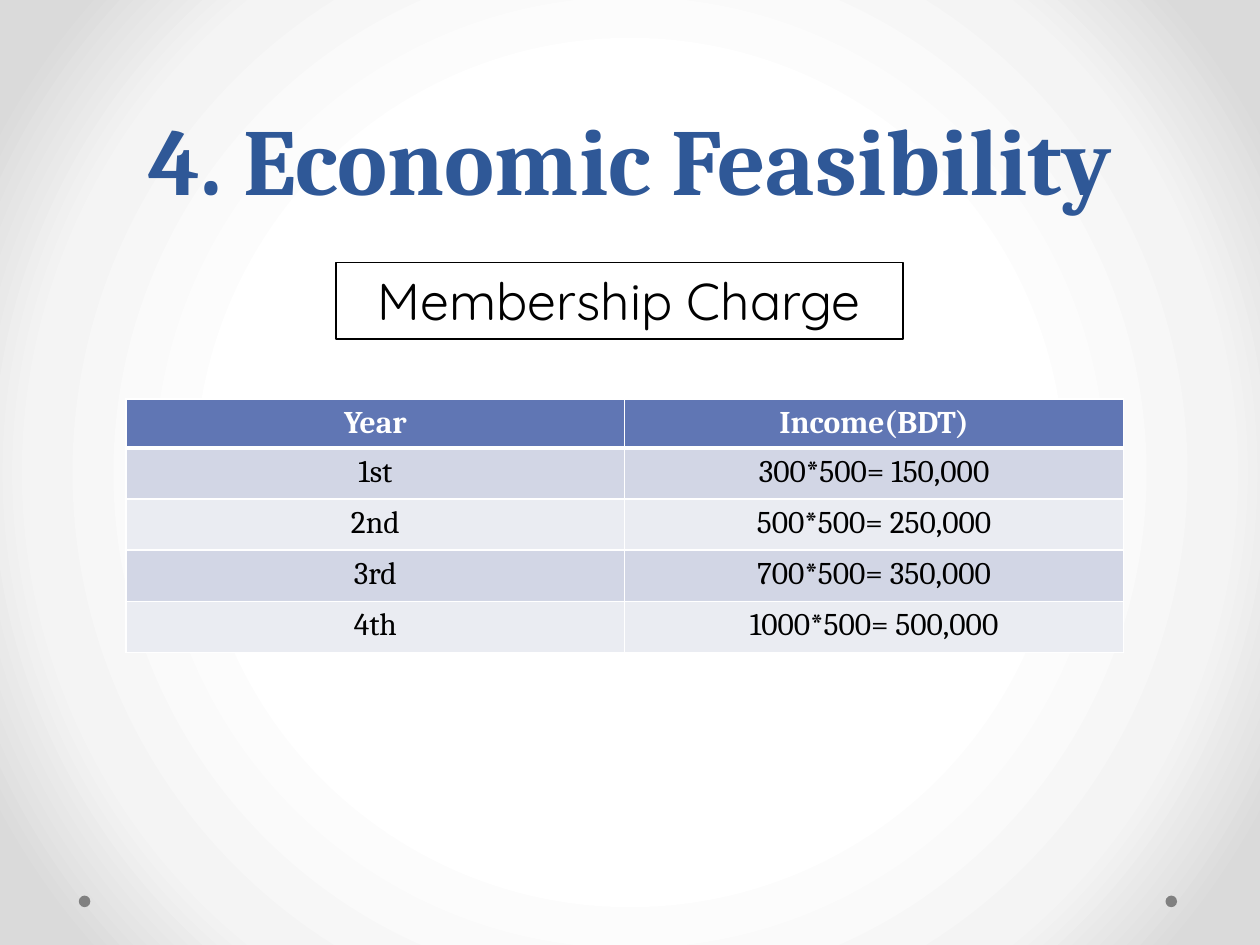
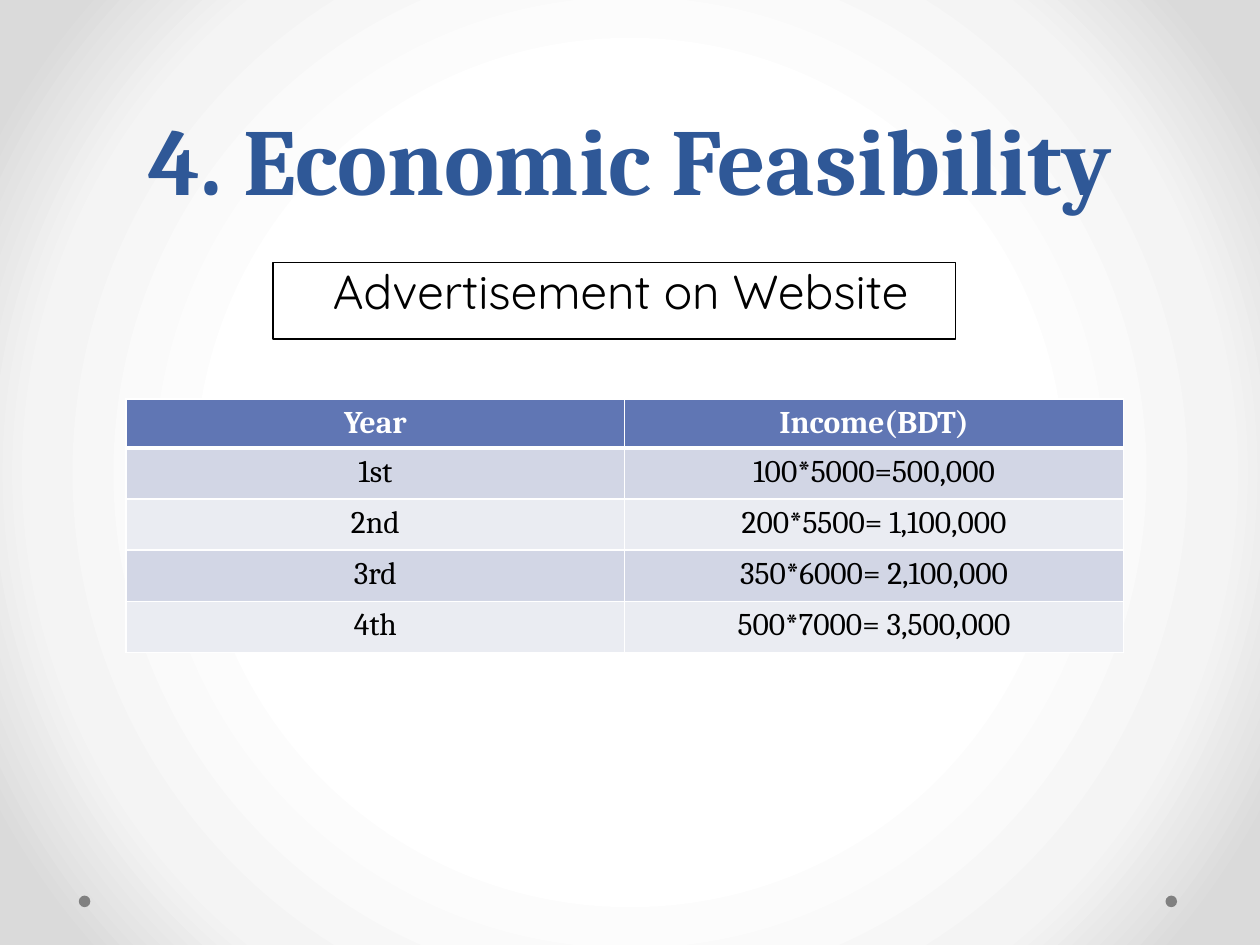
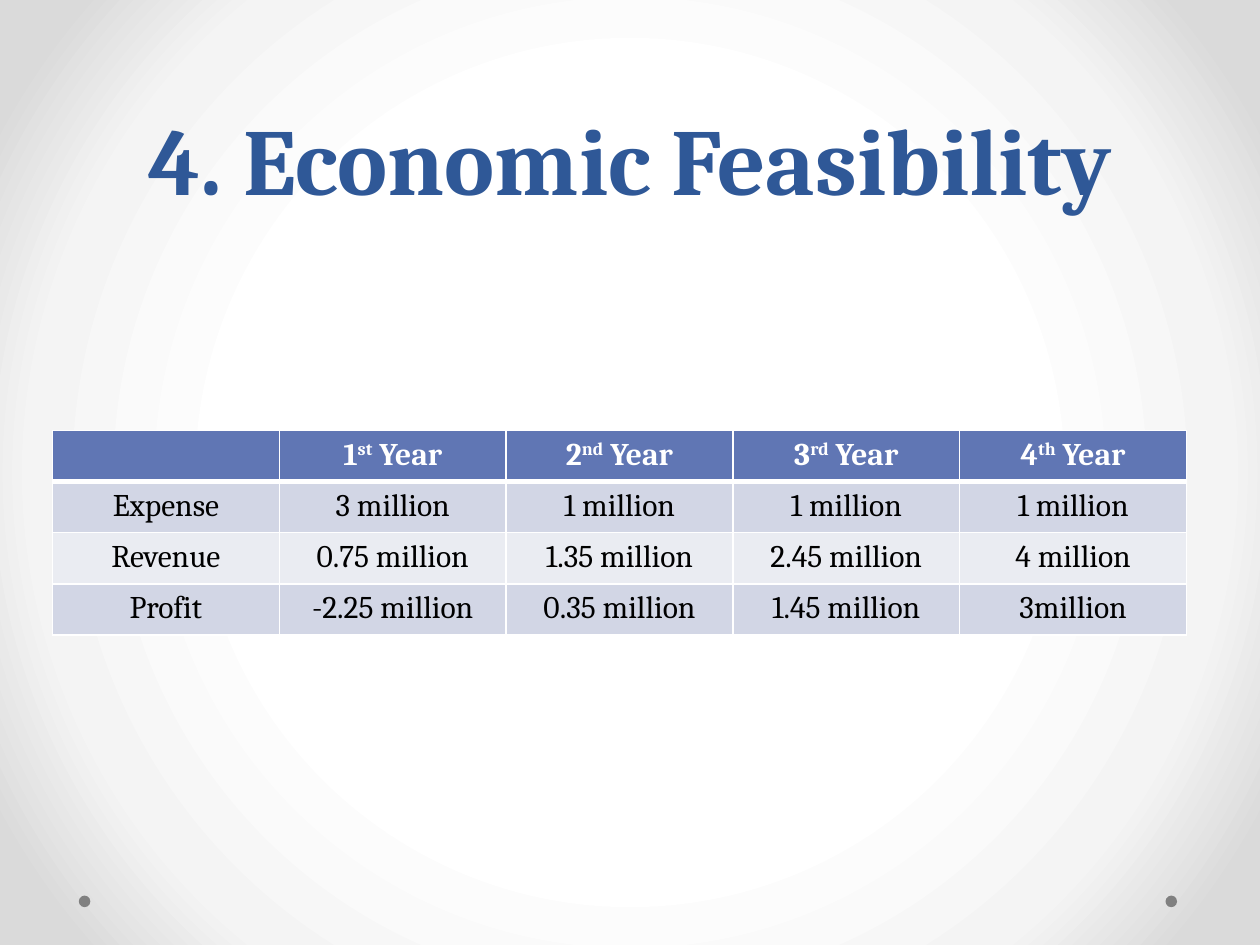
from dataclasses import dataclass

from lxml import etree
from pptx import Presentation
from pptx.dml.color import RGBColor
from pptx.enum.shapes import MSO_SHAPE
from pptx.enum.text import MSO_ANCHOR, PP_ALIGN
from pptx.oxml import parse_xml
from pptx.oxml.ns import qn
from pptx.util import Inches, Pt

RECT, OVAL = MSO_SHAPE.RECTANGLE, MSO_SHAPE.OVAL
TOP, BOTTOM = MSO_ANCHOR.TOP, MSO_ANCHOR.BOTTOM
CENTER = PP_ALIGN.CENTER
TITLE_ONLY = 5

# Shared style
SERIF, SANS = "Cambria", "Quicksand"
WHITE, BLACK, GRAY = "FFFFFF", "000000", "808080"
TITLE_BLUE, HEADER_BLUE = "2F5897", "6076B4"
BANDS = ("D2D6E5", "EAECF2")
BACKDROP = ((50, WHITE), (76, "F4F4F4"), (92, "DADADA"))
TITLE = "4. Economic Feasibility"

# Grid of 120 columns by 90 rows, so that 12 units make an inch
COLS, ROWS = 120, 90
WIDTH, HEIGHT = Inches(10), Inches(7.5)
ROW_HEIGHT = 4.87


@dataclass
class Box:
    """A rectangle in grid units."""
    x: float
    y: float
    w: float
    h: float

    def emu(self) -> tuple[int, int, int, int]:
        return (round(self.x * WIDTH / COLS), round(self.y * HEIGHT / ROWS),
                round(self.w * WIDTH / COLS), round(self.h * HEIGHT / ROWS))


@dataclass
class Caption:
    text: str
    box: Box
    size: float
    spacing: float = 1.0


@dataclass
class Grid:
    rows: list[list[str]]
    x: float
    y: float
    w: float
    header_height: float = ROW_HEIGHT


@dataclass
class Page:
    grid: Grid
    caption: Caption | None = None


def rgb(value: str) -> RGBColor:
    return RGBColor.from_string(value)


def style(r, size: float, font: str, color: str, bold: bool = False) -> None:
    r.font.size, r.font.name, r.font.bold = Pt(size), font, bold
    r.font.color.rgb = rgb(color)


def set_backdrop(master) -> None:
    """Put the round gradient behind every slide."""
    fill = master.background.fill
    fill.solid()
    stops = "".join(f'<a:gs pos="{pos * 1000}"><a:srgbClr val="{color}"/></a:gs>'
                    for pos, color in BACKDROP)
    grad = parse_xml(
        '<a:gradFill xmlns:a="http://schemas.openxmlformats.org/drawingml/2006/main"'
        f' rotWithShape="1"><a:gsLst>{stops}</a:gsLst><a:path path="circle">'
        '<a:fillToRect l="50000" t="50000" r="50000" b="50000"/></a:path></a:gradFill>')
    solid = next(master.element.iter(qn("p:bgPr"))).find(qn("a:solidFill"))
    solid.getparent().replace(solid, grad)


def add_shape(s, kind, box: Box, fill: str):
    sp = s.shapes.add_shape(kind, *box.emu())
    sp.shadow.inherit = False
    sp.fill.solid()
    sp.fill.fore_color.rgb = rgb(fill)
    sp.line.fill.background()
    return sp


def add_title(s) -> None:
    sp = s.shapes.title
    sp.left, sp.top, sp.width, sp.height = Box(6, 0, 108, 21).emu()
    tf = sp.text_frame
    tf.text, tf.vertical_anchor = TITLE, BOTTOM
    p = tf.paragraphs[0]
    p.alignment, p.line_spacing = CENTER, Pt(58)
    style(p.runs[0], 54, SERIF, TITLE_BLUE, True)


def add_caption(s, caption: Caption) -> None:
    sp = add_shape(s, RECT, caption.box, WHITE)
    sp.line.color.rgb, sp.line.width = rgb(BLACK), Pt(0.75)
    tf = sp.text_frame
    tf.text, tf.word_wrap, tf.vertical_anchor = caption.text, True, TOP
    p = tf.paragraphs[0]
    p.alignment, p.line_spacing = CENTER, caption.spacing
    style(p.runs[0], caption.size, SANS, BLACK)


def add_borders(cell, top: float, bottom: float) -> None:
    tc_pr = cell._tc.get_or_add_tcPr()
    for side, width in (("L", 1), ("R", 1), ("T", top), ("B", bottom)):
        ln = etree.SubElement(tc_pr, qn(f"a:ln{side}"), w=str(Pt(width)))
        solid = etree.SubElement(ln, qn("a:solidFill"))
        etree.SubElement(solid, qn("a:srgbClr"), val=WHITE)


def fill_cell(cell, text: str, row: int) -> None:
    """Write one cell; text between carets is raised."""
    header = row == 0
    add_borders(cell, 3 if row == 1 else 1, 3 if header else 1)
    cell.fill.solid()
    cell.fill.fore_color.rgb = rgb(HEADER_BLUE if header else BANDS[(row - 1) % 2])
    p = cell.text_frame.paragraphs[0]
    p.alignment = CENTER
    for i, part in enumerate(text.split("^") if text else []):
        r = p.add_run()
        r.text = part
        style(r, 18, SERIF, WHITE if header else BLACK, header)
        if i % 2:
            r._r.get_or_add_rPr().set("baseline", "30000")


def add_grid(s, grid: Grid) -> None:
    n_rows, n_cols = len(grid.rows), len(grid.rows[0])
    heights = [grid.header_height] + [ROW_HEIGHT] * (n_rows - 1)
    box = Box(grid.x, grid.y, grid.w, sum(heights))
    table = s.shapes.add_table(n_rows, n_cols, *box.emu()).table
    for row, height in zip(table.rows, heights):
        row.height = round(height * HEIGHT / ROWS)
    for i, texts in enumerate(grid.rows):
        for j, text in enumerate(texts):
            fill_cell(table.cell(i, j), text, i)


def income_grid(incomes: list[str]) -> Grid:
    years = ["1st", "2nd", "3rd", "4th"]
    rows = [["Year", "Income(BDT)"]] + [list(pair) for pair in zip(years, incomes)]
    return Grid(rows, 12, 38, 95, header_height=4)


PAGES = [
    Page(income_grid(["300*500= 150,000", "500*500= 250,000",
                      "700*500= 350,000", "1000*500= 500,000"]),
         Caption("Membership Charge", Box(32, 25, 54, 7.3), 29.6)),
    Page(income_grid(["100*5000=500,000", "200*5500= 1,100,000",
                      "350*6000= 2,100,000", "500*7000= 3,500,000"]),
         Caption(" Advertisement on Website", Box(26, 25, 65, 7.3), 27.2, 0.9)),
    Page(Grid([["", "1^st^ Year", "2^nd^ Year", "3^rd^ Year", "4^th^ Year"],
               ["Expense", "3 million", "1 million", "1 million", "1 million"],
               ["Revenue", "0.75 million", "1.35 million", "2.45 million", "4 million"],
               ["Profit", "-2.25 million", "0.35 million", "1.45 million", "3million"]],
              5, 41, 108)),
]


def main() -> None:
    prs = Presentation()
    prs.slide_width, prs.slide_height = WIDTH, HEIGHT
    set_backdrop(prs.slide_master)
    for page in PAGES:
        s = prs.slides.add_slide(prs.slide_layouts[TITLE_ONLY])
        # Corner dots
        for x in (111, 7.5):
            add_shape(s, OVAL, Box(x, 85.3, 1.1, 1.1), GRAY)
        add_title(s)
        add_grid(s, page.grid)
        if page.caption:
            add_caption(s, page.caption)
    prs.save("out.pptx")


if __name__ == "__main__":
    main()
